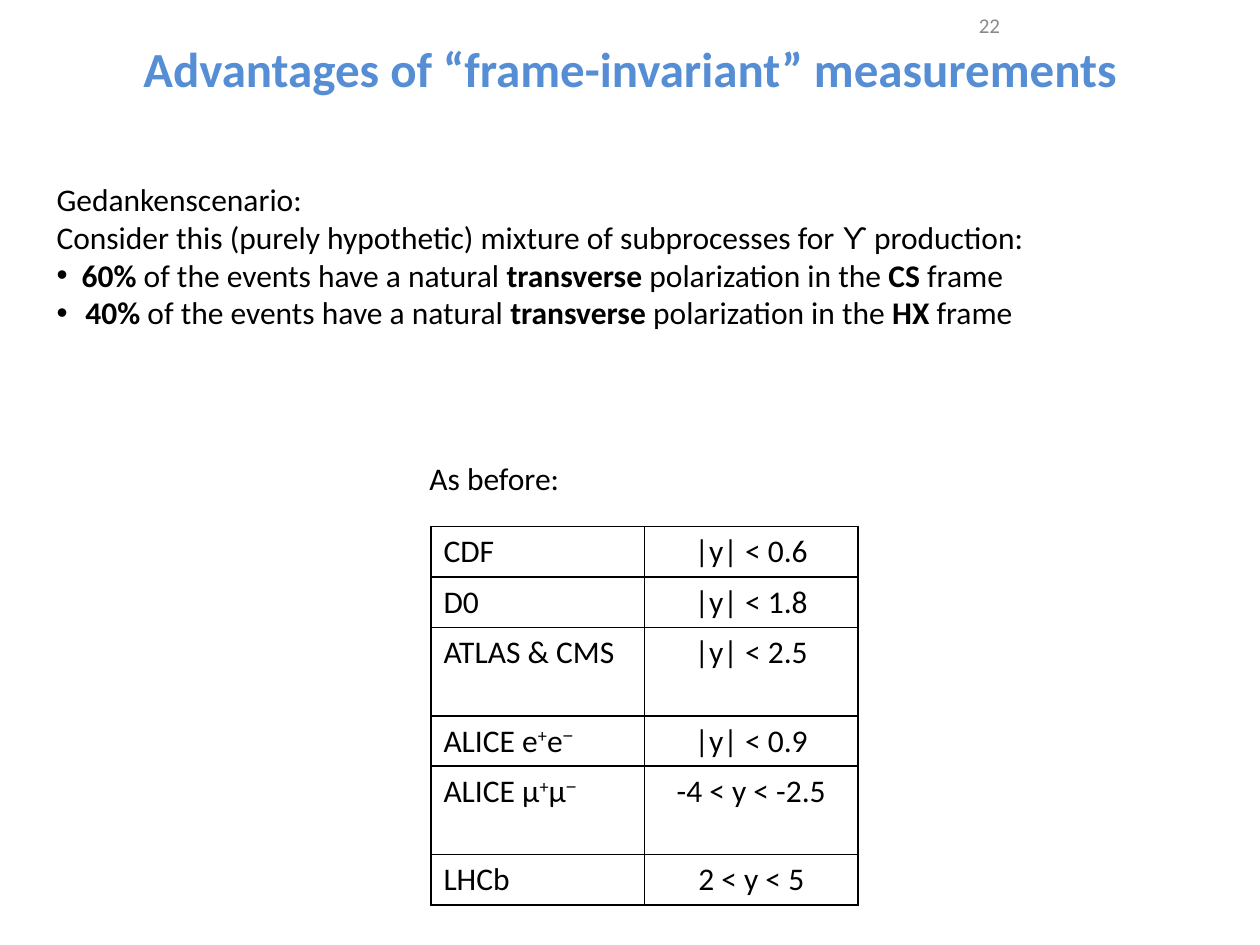
from dataclasses import dataclass

from lxml.etree import SubElement
from pptx import Presentation
from pptx.dml.color import RGBColor
from pptx.enum.text import MSO_ANCHOR, PP_ALIGN
from pptx.oxml import parse_xml
from pptx.oxml.ns import nsdecls, qn
from pptx.util import Inches, Pt


@dataclass(frozen=True)
class Theme:
    title_color: RGBColor = RGBColor(0x55, 0x8E, 0xD5)
    number_color: RGBColor = RGBColor(0x89, 0x89, 0x89)
    text_color: RGBColor = RGBColor(0, 0, 0)
    title_size: int = 28
    body_size: int = 18
    number_size: int = 12
    body_font: str = "Calibri"
    symbol_font: str = "Arial"
    border_width: float = 1


GRID_COLUMNS, GRID_ROWS = 100, 75

MIXTURE = [
    [("Gedankenscenario:", "")],
    [
        ("Consider this (purely hypothetic) mixture of subprocesses for ", ""),
        ("ϒ", "symbol"),
        (" production:", ""),
    ],
]
SUBPROCESSES = [("60%", "CS", 0.2), ("40%", "HX", 0.23)]

RAPIDITY_RANGES = [
    ([("CDF", "")], "|y| < 0.6", 4),
    ([("D0", "")], "|y| < 1.8", 4),
    ([("ATLAS & CMS", "")], "|y| < 2.5", 7),
    ([("ALICE e", ""), ("+", "super"), ("e", ""), ("−", "super symbol")], "|y| < 0.9", 4),
    ([("ALICE μ", ""), ("+", "super"), ("μ", ""), ("−", "super symbol")], "-4 < y < -2.5", 7),
    ([("LHCb", "")], "2 < y < 5", 4),
]


class SlideBuilder:
    def __init__(self, presentation, theme):
        self.theme = theme
        self.column = presentation.slide_width / GRID_COLUMNS
        self.row = presentation.slide_height / GRID_ROWS
        self.slide = presentation.slides.add_slide(presentation.slide_layouts[5])

    def box(self, left, top, width, height):
        return (
            int(left * self.column),
            int(top * self.row),
            int(width * self.column),
            int(height * self.row),
        )

    def add_runs(self, paragraph, runs, size=None, color=None, bold=False):
        for text, style in runs:
            run = paragraph.add_run()
            run.text = text
            values = {
                "name": self.theme.symbol_font if "symbol" in style else self.theme.body_font,
                "size": Pt(size or self.theme.body_size),
                "bold": bold or "bold" in style,
            }
            for name, value in values.items():
                setattr(run.font, name, value)
            run.font.color.rgb = color or self.theme.text_color
            if "super" in style:
                run._r.get_or_add_rPr().set("baseline", "30000")

    def bullet(self, paragraph, indent):
        properties = paragraph._p.get_or_add_pPr()
        properties.set("marL", str(Inches(indent)))
        properties.set("indent", str(-Inches(indent)))
        SubElement(properties, qn("a:buFont")).set("typeface", self.theme.symbol_font)
        SubElement(properties, qn("a:buChar")).set("char", "•")

    def title(self, text, box):
        shape = self.slide.shapes.title
        for name, value in zip(("left", "top", "width", "height"), self.box(*box)):
            setattr(shape, name, value)
        shape.text_frame.vertical_anchor = MSO_ANCHOR.MIDDLE
        paragraph = shape.text_frame.paragraphs[0]
        paragraph.alignment = PP_ALIGN.CENTER
        self.add_runs(paragraph, [(text, "")], self.theme.title_size, self.theme.title_color, True)

    def text(self, paragraphs, box, anchor=MSO_ANCHOR.TOP, indents=None, **style):
        frame = self.slide.shapes.add_textbox(*self.box(*box)).text_frame
        frame.word_wrap = True
        frame.vertical_anchor = anchor
        for index, runs in enumerate(paragraphs):
            paragraph = frame.add_paragraph() if index else frame.paragraphs[0]
            if indents and indents[index]:
                self.bullet(paragraph, indents[index])
            self.add_runs(paragraph, runs, **style)

    def border(self, cell):
        properties = cell._tc.get_or_add_tcPr()
        for index, side in enumerate(("lnL", "lnR", "lnT", "lnB")):
            line = parse_xml(
                f'<a:{side} {nsdecls("a")} w="{Pt(self.theme.border_width)}">'
                f'<a:solidFill><a:srgbClr val="{self.theme.text_color}"/></a:solidFill>'
                f"</a:{side}>"
            )
            properties.insert(index, line)

    def table(self, rows, left, top, column_width):
        total = sum(height for _, _, height in rows)
        box = self.box(left, top, 2 * column_width, total)
        table = self.slide.shapes.add_table(len(rows), 2, *box).table
        table.first_row = table.horz_banding = False
        for index, (experiment, limits, height) in enumerate(rows):
            table.rows[index].height = int(height * self.row)
            contents = [(experiment, PP_ALIGN.LEFT), ([(limits, "")], PP_ALIGN.CENTER)]
            for cell, (runs, alignment) in zip(table.rows[index].cells, contents):
                cell.fill.background()
                self.border(cell)
                paragraph = cell.text_frame.paragraphs[0]
                paragraph.alignment = alignment
                self.add_runs(paragraph, runs)


def main():
    presentation = Presentation()
    presentation.slide_width, presentation.slide_height = Inches(10), Inches(7.5)
    theme = Theme()
    builder = SlideBuilder(presentation, theme)
    builder.title("Advantages of “frame-invariant” measurements", (5, 2.7, 90, 5.3))
    builder.text(
        [[("22", "")]],
        (76.7, 0, 23.3, 4),
        MSO_ANCHOR.MIDDLE,
        size=theme.number_size,
        color=theme.number_color,
    )
    builder.text([[("As before:", "")]], (33.1, 35.9, 15.7, 4))
    subprocesses = [
        [
            (share, "bold"),
            (" of the events have a natural ", ""),
            ("transverse", "bold"),
            (" polarization in the ", ""),
            (frame, "bold"),
            (" frame", ""),
        ]
        for share, frame, _ in SUBPROCESSES
    ]
    indents = [0] * len(MIXTURE) + [indent for _, _, indent in SUBPROCESSES]
    builder.text(MIXTURE + subprocesses, (3.5, 13.8, 96.5, 27), indents=indents)
    builder.table(RAPIDITY_RANGES, 34.2, 41.8, 16.95)
    presentation.save("out.pptx")


if __name__ == "__main__":
    main()
